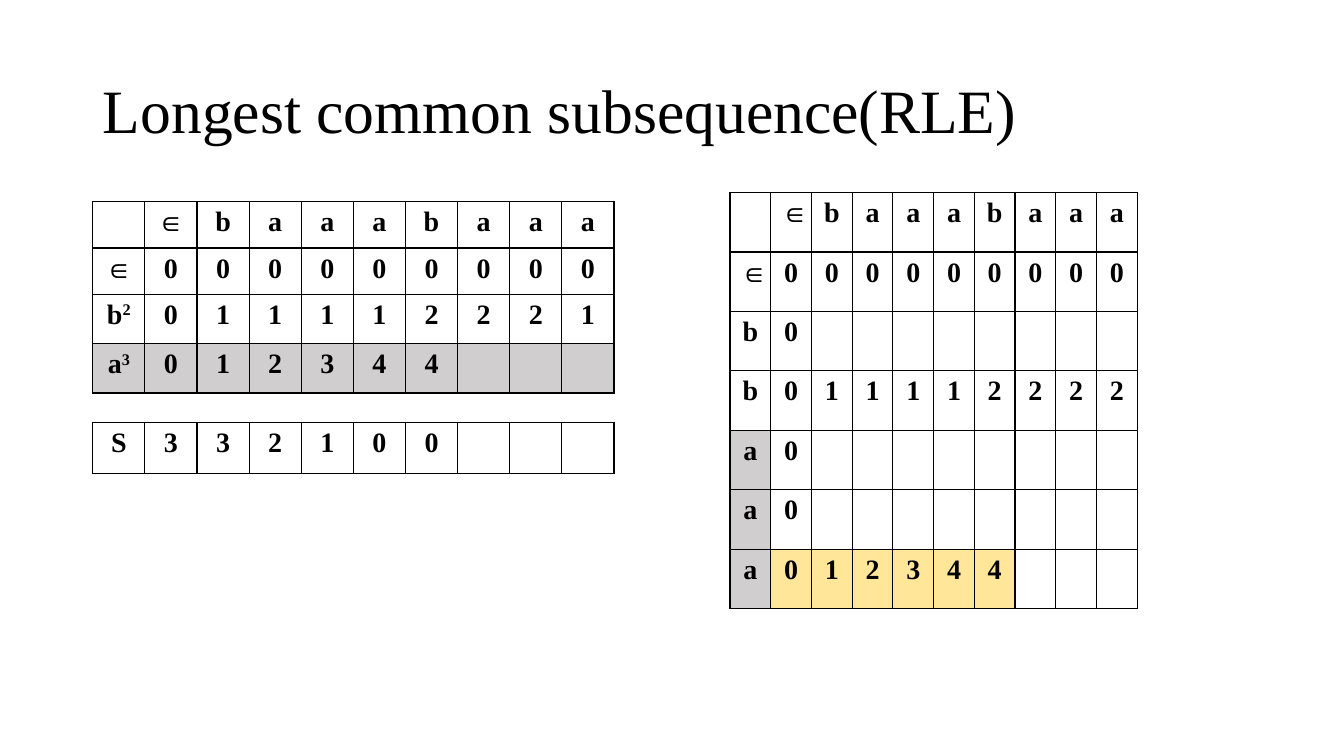
from dataclasses import dataclass, field

from lxml.etree import SubElement
from pptx import Presentation
from pptx.dml.color import RGBColor
from pptx.enum.text import MSO_ANCHOR, MSO_AUTO_SIZE, PP_ALIGN
from pptx.oxml.ns import qn
from pptx.util import Inches, Pt


@dataclass(frozen=True)
class Theme:
    font: str = "Times New Roman"
    ink: str = "000000"
    grey: str = "D0CECE"
    yellow: str = "FFE699"
    title_size: int = 44
    cell_size: int = 20
    border_width: int = 1


THEME = Theme()


@dataclass(frozen=True)
class Shade:
    """A run of filled cells in one row, from first to last column."""
    row: int
    first: int
    last: int
    color: str


@dataclass(frozen=True)
class Grid:
    """Rows are space-separated cells: '.' is empty, 'b^2' has a superscript."""
    left: float
    top: float
    width: float
    row_heights: list[float]
    rows: list[str]
    shades: list[Shade] = field(default_factory=list)


HEADER = ". ∈ b a a a b a a a"
ZEROS = "∈ 0 0 0 0 0 0 0 0 0"
FIRST_ONLY = " 0 . . . . . . . ."

GRIDS = [
    Grid(0.92, 2, 5.17, [0.46, 0.46, 0.49, 0.49],
         [HEADER, ZEROS, "b^2 0 1 1 1 1 2 2 2 1", "a^3 0 1 2 3 4 4 . . ."],
         [Shade(3, 0, 9, THEME.grey)]),
    Grid(0.92, 4.19, 5.17, [0.51], ["S 3 3 2 1 0 0 . . ."]),
    Grid(7.24, 1.91, 4.04, [0.59] * 7,
         [HEADER, ZEROS, "b" + FIRST_ONLY, "b 0 1 1 1 1 2 2 2 2",
          "a" + FIRST_ONLY, "a" + FIRST_ONLY, "a 0 1 2 3 4 4 . . ."],
         [*(Shade(row, 0, 0, THEME.grey) for row in (4, 5, 6)),
          Shade(6, 1, 6, THEME.yellow)]),
]


def add_span(para, text: str, *, size: int, bold: bool = False, raised: bool = False) -> None:
    span = para.add_run()
    span.text = text
    span.font.name = THEME.font
    span.font.size = Pt(size)
    span.font.bold = bold
    span.font.color.rgb = RGBColor.from_string(THEME.ink)
    if raised:
        span._r.get_or_add_rPr().set("baseline", "30000")


def add_borders(cell) -> None:
    properties = cell._tc.get_or_add_tcPr()
    for side in ("lnL", "lnR", "lnT", "lnB"):
        line = SubElement(properties, qn(f"a:{side}"), w=str(Pt(THEME.border_width)))
        fill = SubElement(line, qn("a:solidFill"))
        SubElement(fill, qn("a:srgbClr"), val=THEME.ink)


def write_cell(cell, entry: str) -> None:
    add_borders(cell)
    cell.fill.background()
    if entry == ".":
        return
    para = cell.text_frame.paragraphs[0]
    para.alignment = PP_ALIGN.CENTER
    base, _, exponent = entry.partition("^")
    add_span(para, base, size=THEME.cell_size, bold=True)
    if exponent:
        add_span(para, exponent, size=THEME.cell_size, bold=True, raised=True)


def draw_grid(page, grid: Grid) -> None:
    column_count = len(grid.rows[0].split())
    table = page.shapes.add_table(
        len(grid.rows), column_count, Inches(grid.left), Inches(grid.top),
        Inches(grid.width), Inches(sum(grid.row_heights))).table
    table.first_row = table.horz_banding = False
    for column in table.columns:
        column.width = Inches(grid.width / column_count)
    for row, (height, entries) in enumerate(zip(grid.row_heights, grid.rows)):
        table.rows[row].height = Inches(height)
        for column, entry in enumerate(entries.split()):
            write_cell(table.cell(row, column), entry)
    for shade in grid.shades:
        for column in range(shade.first, shade.last + 1):
            fill = table.cell(shade.row, column).fill
            fill.solid()
            fill.fore_color.rgb = RGBColor.from_string(shade.color)


def write_title(page, text: str) -> None:
    title = page.shapes.title
    title.left, title.top = Inches(0.92), Inches(0.4)
    title.width, title.height = Inches(11.5), Inches(1.45)
    frame = title.text_frame
    frame.word_wrap = True
    frame.auto_size = MSO_AUTO_SIZE.NONE
    frame.vertical_anchor = MSO_ANCHOR.MIDDLE
    para = frame.paragraphs[0]
    para.alignment = PP_ALIGN.LEFT
    para.line_spacing = 0.9
    add_span(para, text, size=THEME.title_size)


def main() -> None:
    deck = Presentation()
    deck.slide_width, deck.slide_height = Inches(13.33), Inches(7.5)
    page = deck.slides.add_slide(deck.slide_layouts.get_by_name("Title Only"))
    write_title(page, "Longest common subsequence(RLE)")
    for grid in GRIDS:
        draw_grid(page, grid)
    deck.save("out.pptx")


if __name__ == "__main__":
    main()
